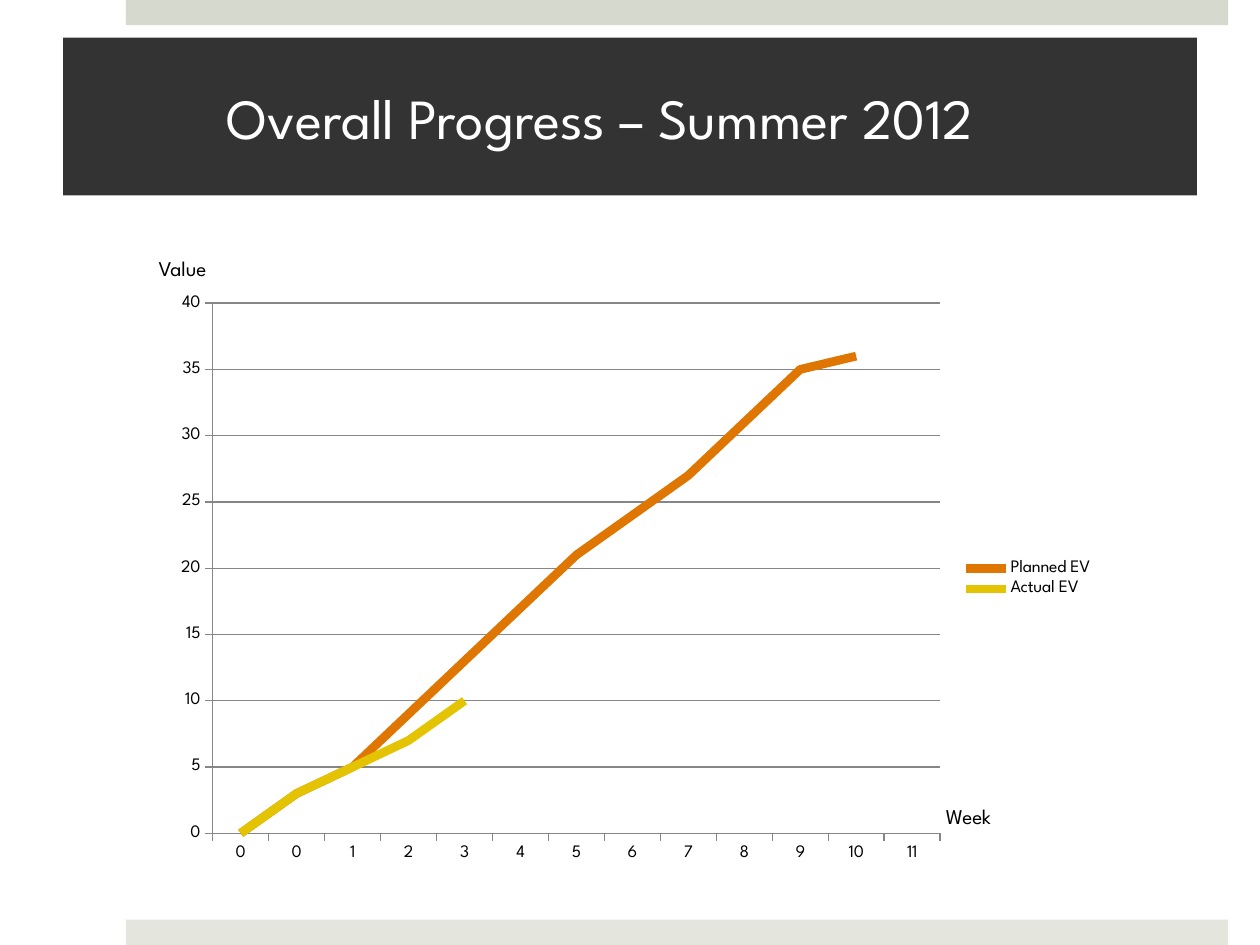
from pptx import Presentation
from pptx.chart.data import CategoryChartData
from pptx.dml.color import RGBColor
from pptx.enum.chart import XL_CHART_TYPE, XL_LEGEND_POSITION, XL_MARKER_STYLE, XL_TICK_MARK
from pptx.enum.shapes import MSO_SHAPE
from pptx.enum.text import MSO_ANCHOR, MSO_AUTO_SIZE, PP_ALIGN
from pptx.oxml import parse_xml
from pptx.oxml.ns import nsdecls
from pptx.util import Cm, Pt

TITLE = "Overall Progress – Summer 2012"
WEEKS = ["0", *map(str, range(12))]
SERIES = [
    ("Planned EV", [0, 3, 5, 9, 13, 17, 21, 24, 27, 31, 35, 36], "E07602"),
    ("Actual EV", [0, 3, 5, 7, 10], "E4C402"),
]
AXIS_NAMES = [("Week", (18.82, 16.08, 1.52, 0.76)), ("Value", (2.95, 5.03, 1.5, 0.76))]
BANDS = [(0, "D6D9CD"), (18.54, "E4E6DE")]
TITLE_AREA = (1.27, 0.76, 22.86, 3.18)
CHART_AREA = (3.28, 5.72, 19.02, 11.89)
PLOT = {"x": 0.053, "y": 0.033, "w": 0.771, "h": 0.899}


class Theme:
    font = "League Spartan"
    text = "000000"
    title_text = "FFFFFF"
    title_fill = "333333"
    rule = "868686"
    title_size = 32.4
    label_size = 12
    chart_size = 10
    series_width = 5
    rule_width = 0.75


def style(font, size, color):
    font.name = Theme.font
    font.size = Pt(size)
    font.color.rgb = RGBColor.from_string(color)


def paint(shape, color):
    shape.fill.solid()
    shape.fill.fore_color.rgb = RGBColor.from_string(color)
    shape.line.fill.background()


def draw_line(line, color, width):
    line.color.rgb = RGBColor.from_string(color)
    line.width = Pt(width)


def add_bands(page):
    for top, color in BANDS:
        band = page.shapes.add_shape(MSO_SHAPE.RECTANGLE, Cm(2.54), Cm(top), Cm(22.22), Cm(0.51))
        band.shadow.inherit = False
        paint(band, color)


def add_title(page):
    title = page.shapes.title
    title.left, title.top, title.width, title.height = map(Cm, TITLE_AREA)
    paint(title, Theme.title_fill)
    frame = title.text_frame
    frame.text = TITLE
    frame.auto_size = MSO_AUTO_SIZE.NONE
    frame.vertical_anchor = MSO_ANCHOR.MIDDLE
    frame.margin_left, frame.margin_right = Cm(3.3), Cm(0.76)
    paragraph = frame.paragraphs[0]
    paragraph.alignment = PP_ALIGN.LEFT
    style(paragraph.font, Theme.title_size, Theme.title_text)


def add_axis_names(page):
    for name, area in AXIS_NAMES:
        box = page.shapes.add_textbox(*map(Cm, area))
        frame = box.text_frame
        frame.text = name
        frame.word_wrap = False
        frame.auto_size = MSO_AUTO_SIZE.SHAPE_TO_FIT_TEXT
        style(frame.paragraphs[0].font, Theme.label_size, Theme.text)


def fix_plot_area(chart):
    edges = "".join(f'<c:{key}Mode val="edge"/>' for key in "xy")
    sizes = "".join(f'<c:{key} val="{value}"/>' for key, value in PLOT.items())
    plot_area = chart._chartSpace.chart.plotArea
    for layout in plot_area.findall("{*}layout"):
        plot_area.remove(layout)
    plot_area.insert(0, parse_xml(
        f'<c:layout {nsdecls("c")}><c:manualLayout><c:layoutTarget val="inner"/>'
        f"{edges}{sizes}</c:manualLayout></c:layout>"
    ))


def add_progress_chart(page):
    data = CategoryChartData()
    data.categories = WEEKS
    for name, values, _ in SERIES:
        data.add_series(name, values + [None] * (len(WEEKS) - len(values)))
    chart = page.shapes.add_chart(XL_CHART_TYPE.LINE, *map(Cm, CHART_AREA), data).chart
    style(chart.font, Theme.chart_size, Theme.text)
    chart.has_title = False
    chart.has_legend = True
    chart.legend.position = XL_LEGEND_POSITION.RIGHT
    chart.legend.include_in_layout = False
    chart.plots[0].vary_by_categories = False
    for series, (_, _, color) in zip(chart.plots[0].series, SERIES):
        series.smooth = False
        series.marker.style = XL_MARKER_STYLE.NONE
        draw_line(series.format.line, color, Theme.series_width)
    for axis in (chart.category_axis, chart.value_axis):
        axis.major_tick_mark = XL_TICK_MARK.OUTSIDE
        axis.minor_tick_mark = XL_TICK_MARK.NONE
        draw_line(axis.format.line, Theme.rule, Theme.rule_width)
    values = chart.value_axis
    values.minimum_scale, values.maximum_scale, values.major_unit = 0, 40, 5
    values.has_major_gridlines = True
    draw_line(values.major_gridlines.format.line, Theme.rule, Theme.rule_width)
    fix_plot_area(chart)


def main():
    deck = Presentation()
    deck.slide_width, deck.slide_height = Cm(25.4), Cm(19.05)
    page = deck.slides.add_slide(deck.slide_layouts[5])
    add_bands(page)
    add_axis_names(page)
    add_title(page)
    add_progress_chart(page)
    deck.save("out.pptx")


if __name__ == "__main__":
    main()
